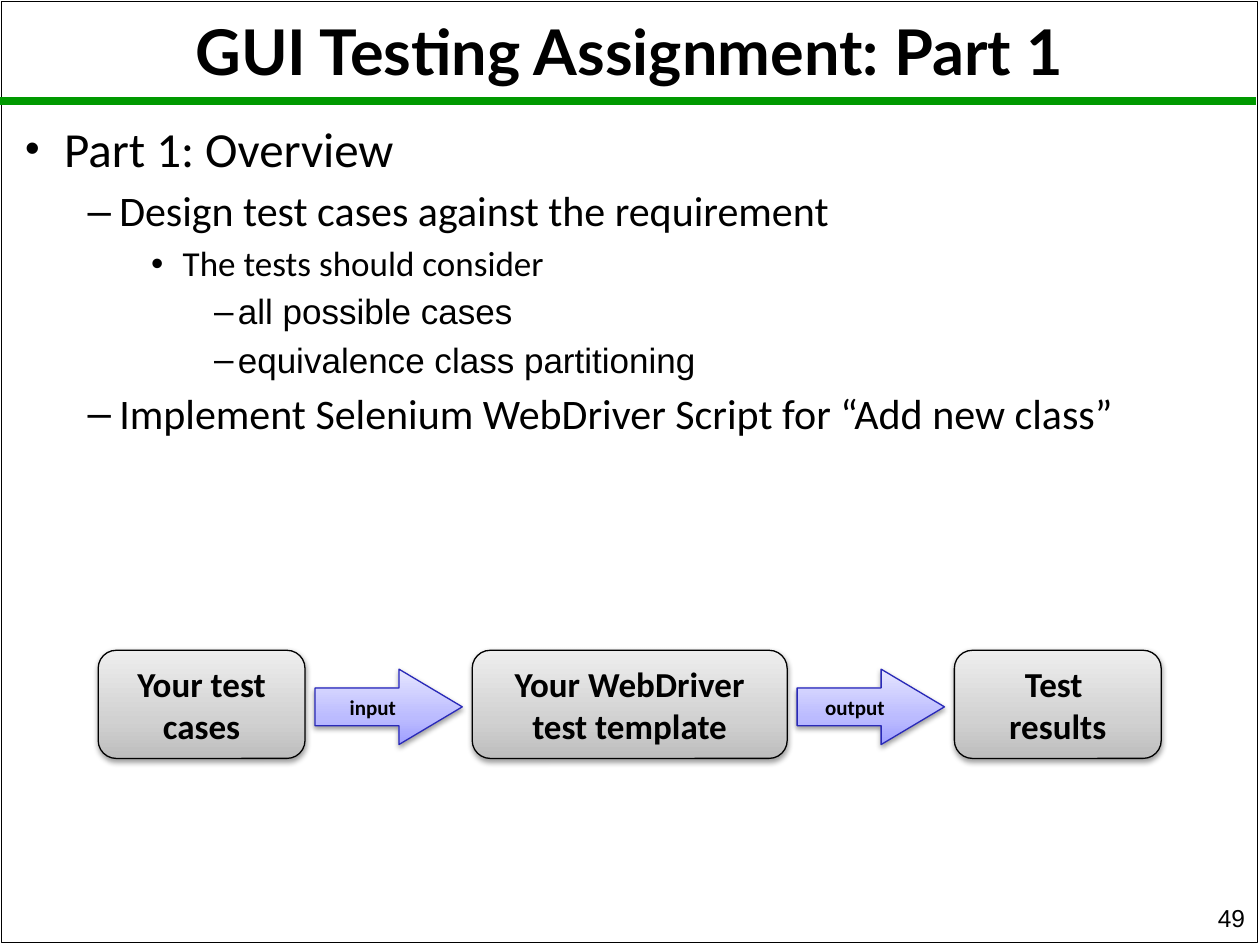
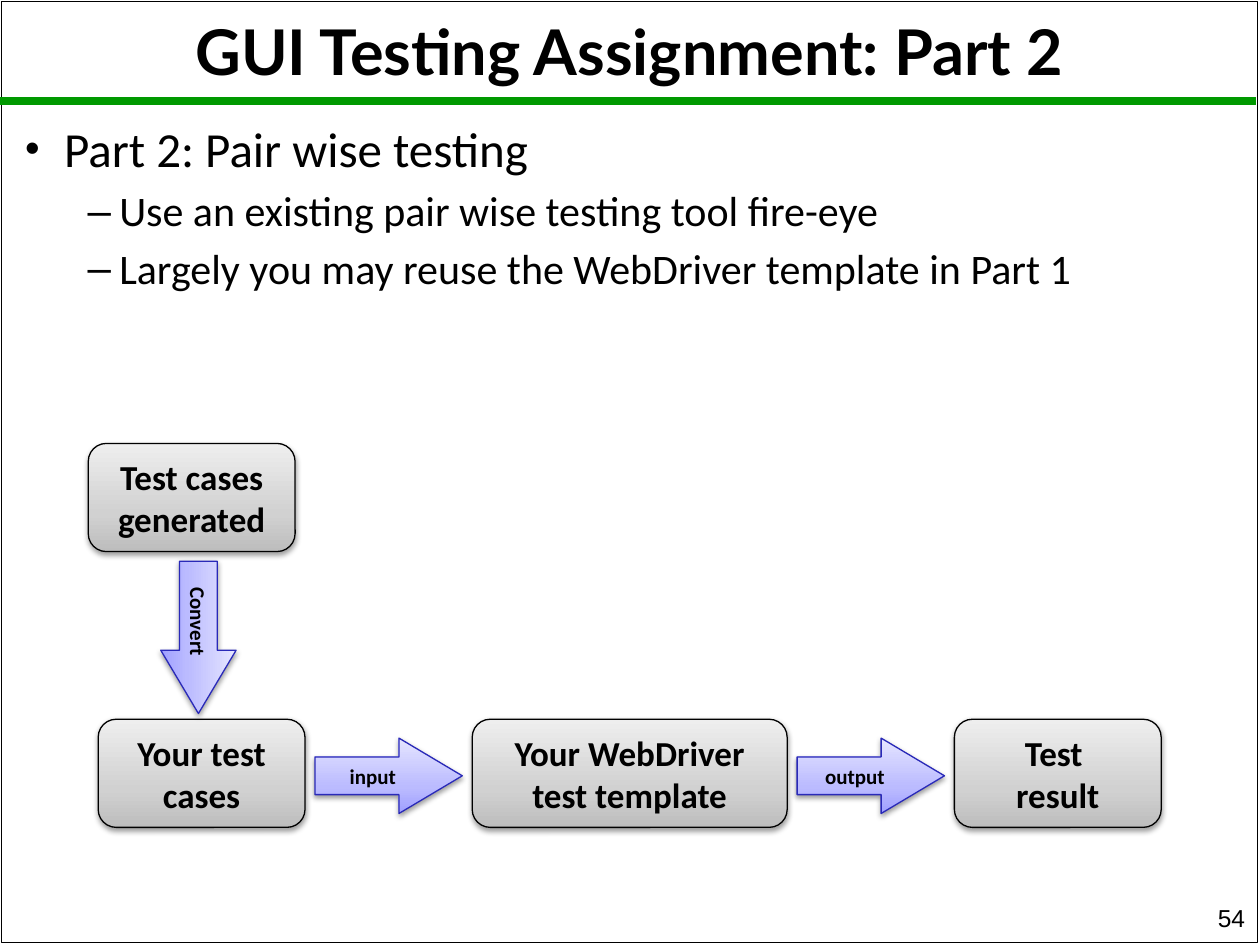
"""Builds two slides on the parts of a GUI testing assignment."""
from lxml.etree import SubElement
from pptx import Presentation
from pptx.dml.color import RGBColor
from pptx.enum.shapes import MSO_CONNECTOR, MSO_SHAPE
from pptx.enum.text import MSO_ANCHOR as Anchor, MSO_AUTO_SIZE as AutoSize, PP_ALIGN as Align
from pptx.oxml import parse_xml
from pptx.oxml.ns import nsdecls, qn
from pptx.util import Cm, Pt

BLACK, GREEN, INDIGO = "000000", "009900", "2929B8"
GREY_STOPS = [(0, "BDBDBD"), (35, "D1D1D1"), (100, "EEEEEE")]
LILAC_STOPS = [(0, "9F9FFF"), (35, "BBBBFF"), (100, "E5E5FF")]

LEVELS = [
    {"margin": 0.79, "hang": 0.79, "bullet": "•", "scale": 85, "size": 28, "font": "Calibri"},
    {"margin": 1.9, "hang": 0.64, "bullet": "–", "scale": 100, "size": 24, "font": "Calibri"},
    {"margin": 3.18, "hang": 0.64, "bullet": "•", "scale": 100, "size": 20, "font": "Calibri"},
    {"margin": 4.29, "hang": 0.48, "bullet": "–", "scale": 100, "size": 20, "font": "Arial"},
]

SLIDES = [
    {
        "title": "GUI Testing Assignment: Part 1",
        "number": "49",
        "outline": [
            (0, "Part 1: Overview"),
            (1, "Design test cases against the requirement"),
            (2, "The tests should consider"),
            (3, "all possible cases"),
            (3, "equivalence class partitioning"),
            (1, "Implement Selenium WebDriver Script for “Add new class”"),
        ],
        "flow_top": 13.11,
        "outcome": "Test \nresults",
        "generated": None,
    },
    {
        "title": "GUI Testing Assignment: Part 2",
        "number": "54",
        "outline": [
            (0, "Part 2: Pair wise testing"),
            (1, "Use an existing pair wise testing tool fire-eye"),
            (1, "Largely you may reuse the WebDriver template in Part 1"),
        ],
        "flow_top": 14.5,
        "outcome": "Test \nresult",
        "generated": ("Test cases generated", "Convert"),
    },
]

FLOW_LEFT, FLOW_GAP = 1.98, 0.2
BOX_WIDTH, WIDE_BOX_WIDTH, BOX_HEIGHT = 4.17, 6.35, 2.18
ARROW_WIDTH, ARROW_HEIGHT, ARROW_DROP = 2.97, 1.52, 0.38
GENERATED_LEFT, GENERATED_TOP = 1.78, 8.94
CONVERT_LENGTH, CONVERT_X, CONVERT_Y = 3.07, 4.0, 12.85


def color(value):
    return RGBColor.from_string(value)


def set_font(para, name, size, bold=False):
    font = para.font
    font.name, font.size, font.bold = name, Pt(size), bold
    font.color.rgb = color(BLACK)


def place(shape, left, top, width, height):
    shape.left, shape.top, shape.width, shape.height = map(Cm, (left, top, width, height))


def add_frame(page):
    frame = page.shapes.add_shape(MSO_SHAPE.RECTANGLE, Cm(0.03), Cm(0.03), Cm(25.32), Cm(18.97))
    frame.shadow.inherit = False
    frame.fill.background()
    frame.line.color.rgb, frame.line.width = color(BLACK), Pt(1)
    rule = page.shapes.add_connector(MSO_CONNECTOR.STRAIGHT, 0, Cm(2.03), Cm(25.32), Cm(2.03))
    rule.line.color.rgb, rule.line.width = color(GREEN), Pt(4.5)
    SubElement(rule._element.spPr, qn("a:effectLst"))


def add_title(page, text):
    title = page.shapes.title
    place(title, 0.25, 0.13, 24.87, 1.98)
    frame = title.text_frame
    frame.text = text
    frame.auto_size, frame.vertical_anchor = AutoSize.NONE, Anchor.MIDDLE
    para = frame.paragraphs[0]
    para.alignment, para.line_spacing = Align.CENTER, 0.9
    set_font(para, "Lato", 36, True)


def add_outline(page, outline):
    body = page.placeholders[1]
    place(body, 0.25, 2.39, 24.89, 15.77)
    frame = body.text_frame
    frame.text = "\n".join(text for _, text in outline)
    frame.auto_size = AutoSize.NONE
    for index, (para, (level, _)) in enumerate(zip(frame.paragraphs, outline)):
        style = LEVELS[level]
        para.level = level
        props = para._p.get_or_add_pPr()
        props.set("marL", str(Cm(style["margin"])))
        props.set("indent", str(-Cm(style["hang"])))
        SubElement(props, qn("a:buSzPct"), val=str(style["scale"] * 1000))
        SubElement(props, qn("a:buFont"), typeface="Arial")
        SubElement(props, qn("a:buChar"), char=style["bullet"])
        para.line_spacing = 0.9
        para.space_before = Pt(0.3 * style["size"] if index else 0)
        set_font(para, style["font"], style["size"])


def add_number(page, number):
    box = page.shapes.add_textbox(Cm(20.07), Cm(18.26), Cm(5.28), Cm(0.66))
    frame = box.text_frame
    frame.word_wrap, frame.vertical_anchor = True, Anchor.BOTTOM
    frame.text = number
    frame.paragraphs[0].alignment = Align.RIGHT
    set_font(frame.paragraphs[0], "Arial", 14)


def add_block(page, kind, bounds, text, stops, outline, size):
    block = page.shapes.add_shape(kind, *map(Cm, bounds))
    block.line.color.rgb, block.line.width = color(outline), Pt(0.75)
    block.fill.background()
    props = block._element.spPr
    marks = "".join(f'<a:gs pos="{at * 1000}"><a:srgbClr val="{tint}"/></a:gs>' for at, tint in stops)
    props.replace(props.find(qn("a:noFill")), parse_xml(
        f'<a:gradFill {nsdecls("a")} rotWithShape="1"><a:gsLst>{marks}</a:gsLst>'
        '<a:lin ang="16200000" scaled="0"/></a:gradFill>'))
    block.shadow.inherit = False
    props.find(qn("a:effectLst")).append(parse_xml(
        f'<a:outerShdw {nsdecls("a")} blurRad="40000" dist="20000" dir="5400000" rotWithShape="0">'
        f'<a:srgbClr val="{BLACK}"><a:alpha val="38000"/></a:srgbClr></a:outerShdw>'))
    frame = block.text_frame
    frame.text = text
    frame.word_wrap, frame.vertical_anchor = True, Anchor.MIDDLE
    for para in frame.paragraphs:
        para.alignment = Align.CENTER
        set_font(para, "Calibri", size, True)
    return block


def add_step(page, left, top, width, text):
    add_block(page, MSO_SHAPE.ROUNDED_RECTANGLE, (left, top, width, BOX_HEIGHT),
              text, GREY_STOPS, BLACK, 20)


def add_arrow(page, left, top, length, text):
    arrow = add_block(page, MSO_SHAPE.RIGHT_ARROW, (left, top, length, ARROW_HEIGHT),
                      text, LILAC_STOPS, INDIGO, 12)
    arrow.adjustments[1] = 0.84
    return arrow


def add_flow(page, top, outcome):
    chain = [
        ("step", BOX_WIDTH, "Your test cases"),
        ("arrow", ARROW_WIDTH, "input"),
        ("step", WIDE_BOX_WIDTH, "Your WebDriver test template"),
        ("arrow", ARROW_WIDTH, "output"),
        ("step", BOX_WIDTH, outcome),
    ]
    left = FLOW_LEFT
    for kind, width, text in chain:
        if kind == "step":
            add_step(page, left, top, width, text)
        else:
            add_arrow(page, left, top + ARROW_DROP, width, text)
        left += width + FLOW_GAP


def add_generated(page, step, action):
    add_step(page, GENERATED_LEFT, GENERATED_TOP, BOX_WIDTH, step)
    arrow = add_arrow(page, CONVERT_X - CONVERT_LENGTH / 2, CONVERT_Y - ARROW_HEIGHT / 2,
                      CONVERT_LENGTH, action)
    arrow.rotation = 90


def main():
    deck = Presentation()
    deck.slide_width, deck.slide_height = Cm(25.4), Cm(19.05)
    for content in SLIDES:
        page = deck.slides.add_slide(deck.slide_layouts[1])
        add_frame(page)
        add_title(page, content["title"])
        add_outline(page, content["outline"])
        add_flow(page, content["flow_top"], content["outcome"])
        if content["generated"]:
            add_generated(page, *content["generated"])
        add_number(page, content["number"])
    deck.save("out.pptx")


if __name__ == "__main__":
    main()
